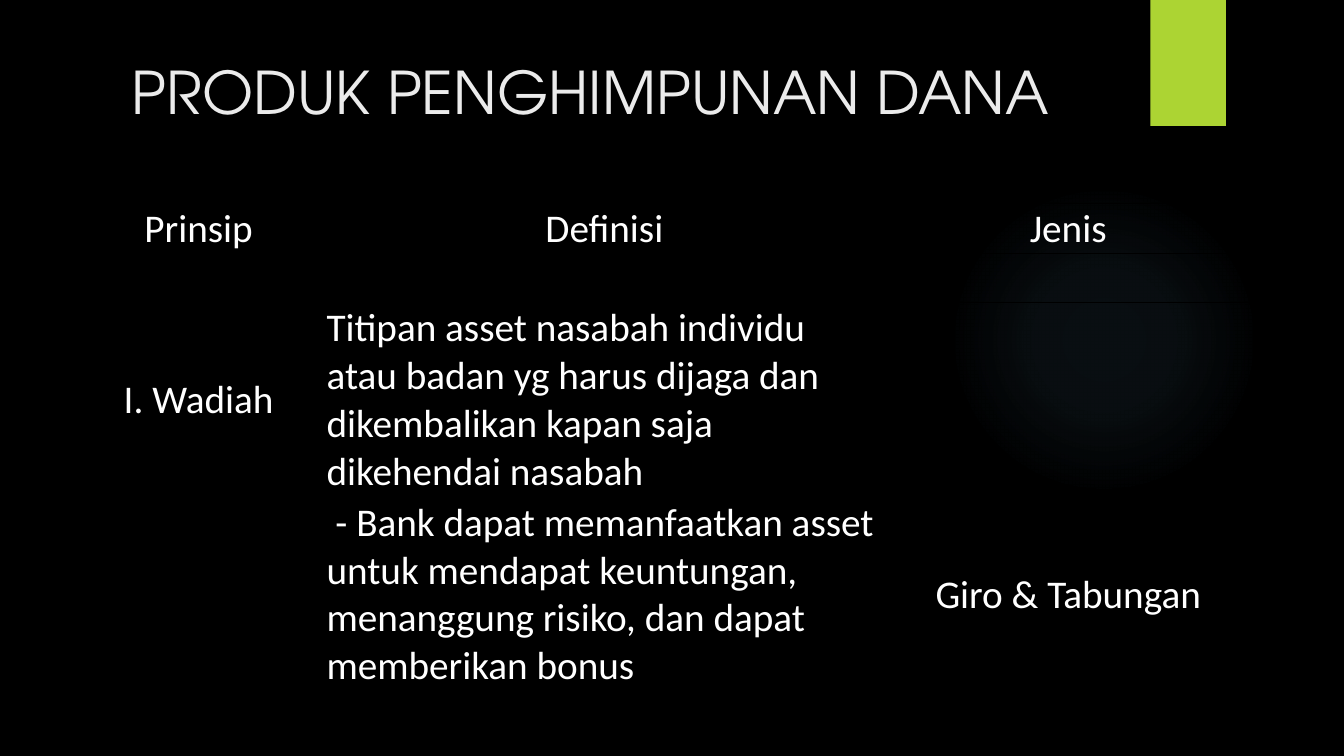
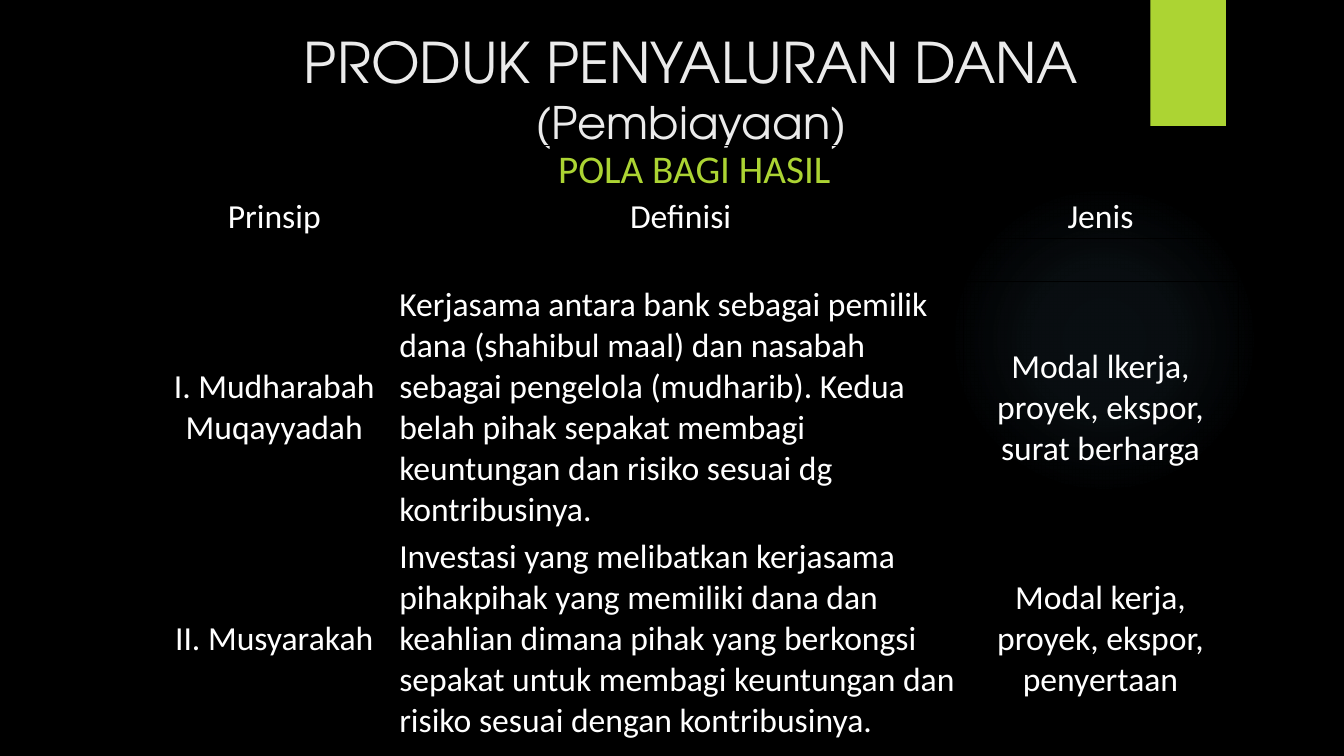
"""Builds two slides on the products of an Islamic bank."""
from lxml.etree import SubElement
from pptx import Presentation
from pptx.dml.color import RGBColor
from pptx.enum.shapes import MSO_SHAPE as Shape
from pptx.enum.text import MSO_ANCHOR as Anchor, PP_ALIGN as Align
from pptx.oxml import parse_xml
from pptx.oxml.ns import nsdecls, qn
from pptx.util import Inches, Pt

BLACK, WHITE, LIME, PALE, GLOW = "000000", "FFFFFF", "ACD433", "EBEBEB", "7AC4F0"
TITLE_FONT, BODY_FONT = "TeX Gyre Adventor", "Calibri"
GLOW_STOPS = ((0, 7), (36, 6), (69, 0))
CELL_FORMAT = {
    "margin_left": Inches(0.01),
    "margin_right": Inches(0.01),
    "margin_top": Inches(0.01),
    "margin_bottom": 0,
}


def color(hex_value):
    return RGBColor.from_string(hex_value)


def apply(target, values):
    for name, value in values.items():
        setattr(target, name, value)


class Deck:
    def __init__(self):
        self.presentation = Presentation()
        apply(self.presentation, {"slide_width": Inches(13.33), "slide_height": Inches(7.5)})
        background = self.presentation.slide_master.background.fill
        background.solid()
        background.fore_color.rgb = color(BLACK)
        self.slide = None

    def add_slide(self):
        self.slide = self.presentation.slides.add_slide(self.presentation.slide_layouts[6])
        self.glow(9.41, 1.83, 3.08)
        self.band(11.41, 0, 0.75, 1.25)

    def shape(self, kind, left, top, width, height):
        shape = self.slide.shapes.add_shape(
            kind, Inches(left), Inches(top), Inches(width), Inches(height))
        shape.shadow.inherit = False
        shape.line.fill.background()
        return shape

    def band(self, left, top, width, height):
        band = self.shape(Shape.RECTANGLE, left, top, width, height)
        band.fill.solid()
        band.fill.fore_color.rgb = color(LIME)

    def glow(self, left, top, size):
        glow = self.shape(Shape.OVAL, left, top, size, size)
        stops = "".join(
            f'<a:gs pos="{position * 1000}"><a:srgbClr val="{GLOW}">'
            f'<a:alpha val="{alpha * 1000}"/></a:srgbClr></a:gs>'
            for position, alpha in GLOW_STOPS)
        gradient = parse_xml(
            f'<a:gradFill {nsdecls("a")}><a:gsLst>{stops}</a:gsLst><a:path path="circle">'
            '<a:fillToRect l="50000" t="50000" r="50000" b="50000"/></a:path></a:gradFill>')
        glow.element.spPr.find(qn("a:prstGeom")).addnext(gradient)

    def run(self, paragraph, text, font_name, size, hex_value):
        run = paragraph.add_run()
        run.text = text
        apply(run.font, {"name": font_name, "size": Pt(size)})
        run.font.color.rgb = color(hex_value)

    def title(self, left, top, height, lines):
        box = self.slide.shapes.add_textbox(
            Inches(left), Inches(top), Inches(10.29), Inches(height))
        box.text_frame.word_wrap = True
        paragraph = box.text_frame.paragraphs[0]
        paragraph.alignment = Align.CENTER
        for index, (text, size) in enumerate(lines):
            if index:
                paragraph.add_line_break()
            self.run(paragraph, text, TITLE_FONT, size, PALE)

    def table(self, left, top, widths, heights, rows, size):
        table = self.slide.shapes.add_table(
            len(rows), len(widths), Inches(left), Inches(top),
            Inches(sum(widths)), Inches(sum(heights))).table
        apply(table, {"first_row": False, "horz_banding": False})
        for column, width in zip(table.columns, widths):
            column.width = Inches(width)
        for row, height, texts in zip(table.rows, heights, rows):
            row.height = Inches(height)
            for index, (cell, text) in enumerate(zip(row.cells, texts)):
                self.cell(cell, text, size, Align.LEFT if len(text) > 60 else Align.CENTER)
        return table

    def cell(self, cell, text, size, alignment, hex_value=WHITE):
        apply(cell, {**CELL_FORMAT, "vertical_anchor": Anchor.MIDDLE})
        properties = cell._tc.get_or_add_tcPr()
        for side in ("lnL", "lnR", "lnT", "lnB"):
            if properties.find(qn(f"a:{side}")) is None:
                line = SubElement(properties, qn(f"a:{side}"), w=str(Pt(0.5)))
                fill = SubElement(line, qn("a:solidFill"))
                SubElement(fill, qn("a:srgbClr"), val=BLACK)
        cell.fill.background()
        paragraph = cell.text_frame.paragraphs[0]
        paragraph.alignment = alignment
        if text:
            self.run(paragraph, text, BODY_FONT, size, hex_value)

    def banner(self, table, text, size):
        first = table.cell(0, 0)
        first.merge(table.cell(0, len(table.columns) - 1))
        self.cell(first, text, size, Align.CENTER, LIME)


def main():
    deck = Deck()
    header, empty = ("Prinsip", "Definisi", "Jenis"), ("", "", "")

    deck.add_slide()
    deck.title(0.71, 0.5, 0.95, [("PRODUK PENGHIMPUNAN DANA", 42)])
    deck.table(0.71, 2.02, (2.52, 5.53, 3.67), (0.49, 0.49, 1.93, 1.93), (
        header,
        empty,
        ("I. Wadiah",
         "Titipan asset nasabah individu atau badan yg harus dijaga dan "
         "dikembalikan kapan saja dikehendai nasabah",
         ""),
        ("",
         " - Bank dapat memanfaatkan asset untuk mendapat keuntungan, "
         "menanggung risiko, dan dapat memberikan bonus",
         "Giro & Tabungan"),
    ), 28)

    deck.add_slide()
    deck.title(1.71, 0.22, 0.88, [("PRODUK PENYALURAN DANA", 40), ("(Pembiayaan)", 32)])
    financing = deck.table(1.49, 1.44, (2.46, 5.6, 2.73), (0.49, 0.43, 0.43, 2.5, 2.09), (
        empty,
        header,
        empty,
        ("I. Mudharabah Muqayyadah",
         "Kerjasama antara bank sebagai pemilik dana (shahibul maal) dan nasabah "
         "sebagai pengelola (mudharib). Kedua belah pihak sepakat membagi "
         "keuntungan dan risiko sesuai dg kontribusinya.",
         "Modal lkerja, proyek, ekspor, surat berharga"),
        ("II. Musyarakah",
         "Investasi yang melibatkan kerjasama pihakpihak yang memiliki dana dan "
         "keahlian dimana pihak yang berkongsi sepakat untuk membagi keuntungan "
         "dan risiko sesuai dengan kontribusinya.",
         "Modal kerja, proyek, ekspor, penyertaan"),
    ), 24)
    deck.banner(financing, "POLA BAGI HASIL", 28)

    deck.presentation.save("out.pptx")


if __name__ == "__main__":
    main()
